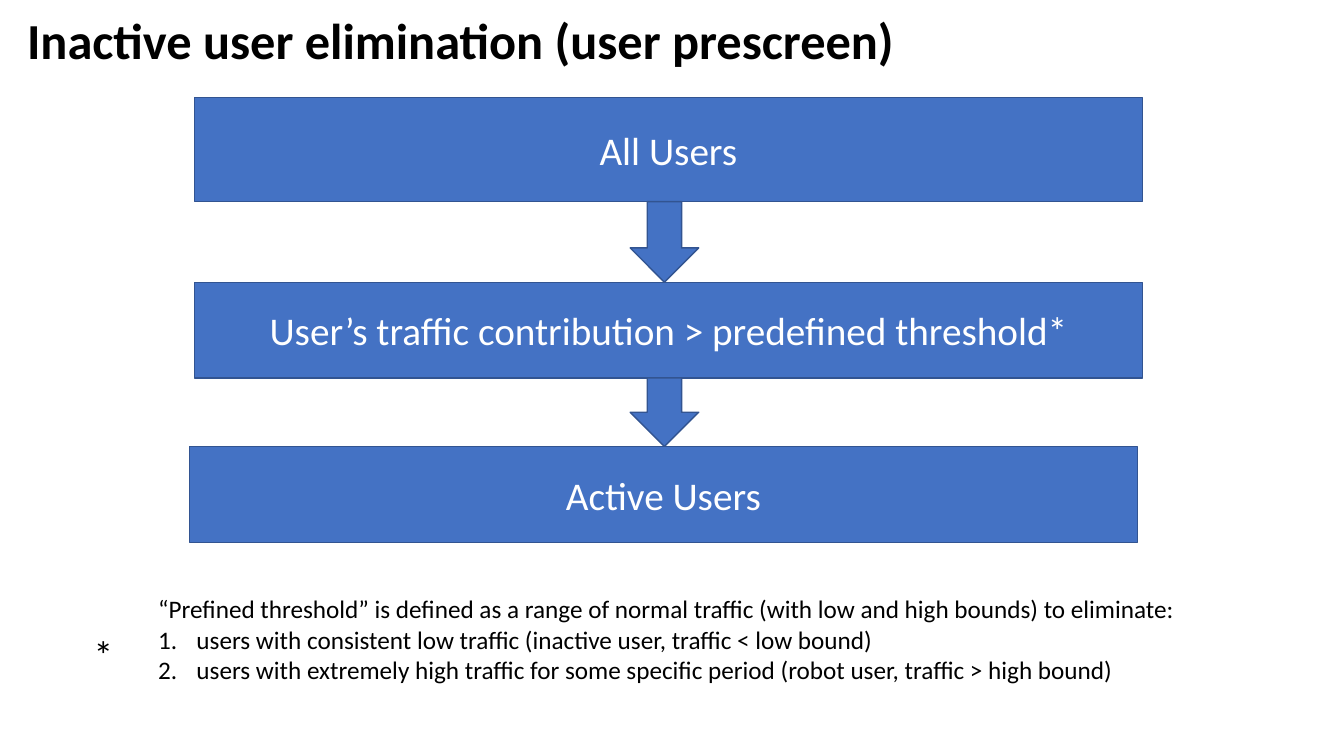
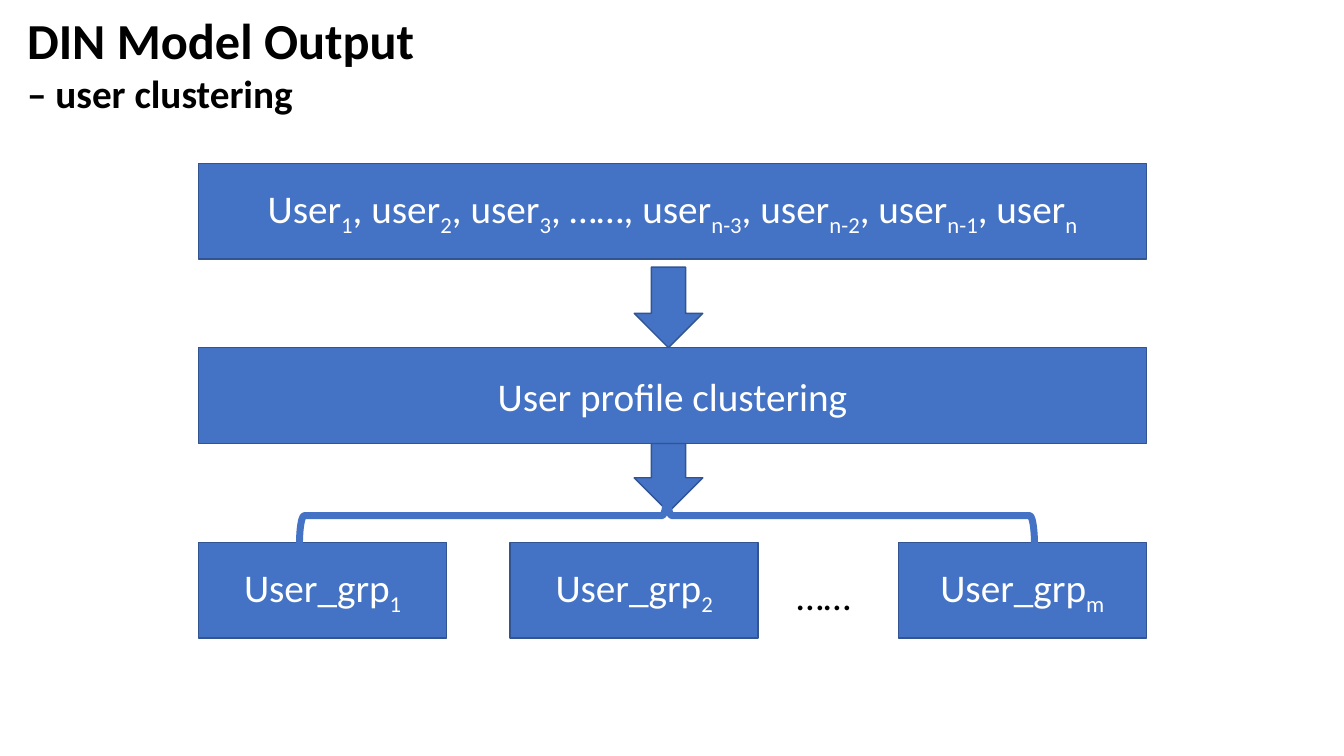
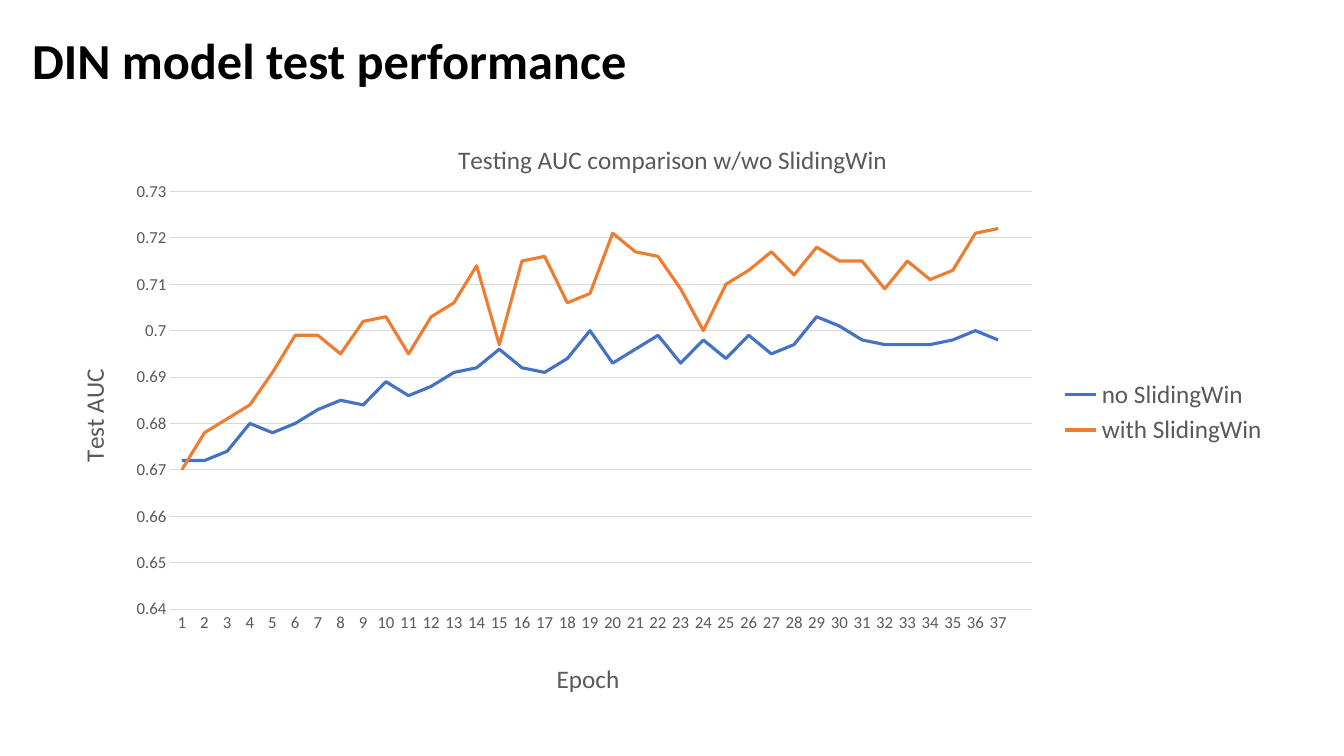
from lxml.etree import SubElement
from pptx import Presentation
from pptx.chart.data import CategoryChartData
from pptx.dml.color import RGBColor
from pptx.enum.chart import XL_CHART_TYPE, XL_LEGEND_POSITION, XL_TICK_MARK
from pptx.enum.shapes import MSO_SHAPE
from pptx.enum.text import MSO_ANCHOR, PP_ALIGN
from pptx.oxml import parse_xml
from pptx.oxml.ns import nsdecls, qn
from pptx.util import Inches, Pt

COLORS = {
    "text": "000000",
    "white": "FFFFFF",
    "blue": "4472C4",
    "edge": "325491",
    "orange": "ED7D31",
    "gray": "595959",
    "grid": "D9D9D9",
}
FONT = "Calibri"
FLOW_W = 9.4
BLOCK_H = 0.95
ARROW_W = 0.68

NO_WINDOW = [
    0.672, 0.672, 0.674, 0.680, 0.678, 0.680, 0.683, 0.685, 0.684, 0.689,
    0.686, 0.688, 0.691, 0.692, 0.696, 0.692, 0.691, 0.694, 0.700, 0.693,
    0.696, 0.699, 0.693, 0.698, 0.694, 0.699, 0.695, 0.697, 0.703, 0.701,
    0.698, 0.697, 0.697, 0.697, 0.698, 0.700, 0.698,
]
WITH_WINDOW = [
    0.670, 0.678, 0.681, 0.684, 0.691, 0.699, 0.699, 0.695, 0.702, 0.703,
    0.695, 0.703, 0.706, 0.714, 0.697, 0.715, 0.716, 0.706, 0.708, 0.721,
    0.717, 0.716, 0.709, 0.700, 0.710, 0.713, 0.717, 0.712, 0.718, 0.715,
    0.715, 0.709, 0.715, 0.711, 0.713, 0.721, 0.722,
]


def rgb(name):
    return RGBColor.from_string(COLORS[name])


def style(font, size, color="text", bold=False):
    font.name, font.size, font.bold = FONT, Pt(size), bold
    font.color.rgb = rgb(color)


def write(p, text, size=28, color="text", bold=False, align=None, numbered=False):
    p.alignment = align
    if numbered:
        pPr = p._p.get_or_add_pPr()
        pPr.set("marL", str(Inches(0.38)))
        pPr.set("indent", str(-Inches(0.38)))
        SubElement(pPr, qn("a:buFont"), typeface="+mj-lt")
        SubElement(pPr, qn("a:buAutoNum"), type="arabicPeriod")
    for i, part in enumerate(text.split("|")):
        if part:
            r = p.add_run()
            r.text = part
            style(r.font, size, color, bold)
            if i % 2:
                r.font._element.set("baseline", "-25000")


def text_box(s, x, y, w, h, lines):
    tf = s.shapes.add_textbox(Inches(x), Inches(y), Inches(w), Inches(h)).text_frame
    tf.word_wrap = True
    for i, (text, fmt) in enumerate(lines):
        write(tf.add_paragraph() if i else tf.paragraphs[0], text, **fmt)


def title(s, text, subtitle=None, x=0.17, y=0.04):
    lines = [(text, dict(size=36, bold=True))]
    if subtitle:
        lines.append((subtitle, dict(size=28, bold=True)))
    text_box(s, x, y, 11.59, 1.18 if subtitle else 0.71, lines)


def shape(s, kind, x, y, w, h, fill="blue", line="edge", width=1):
    sp = s.shapes.add_shape(kind, Inches(x), Inches(y), Inches(w), Inches(h))
    sp.shadow.inherit = False
    if fill:
        sp.fill.solid()
        sp.fill.fore_color.rgb = rgb(fill)
    else:
        sp.fill.background()
    sp.line.color.rgb = rgb(line)
    sp.line.width = Pt(width)
    return sp


def block(s, x, y, w, h, text):
    tf = shape(s, MSO_SHAPE.RECTANGLE, x, y, w, h).text_frame
    tf.word_wrap = True
    tf.vertical_anchor = MSO_ANCHOR.MIDDLE
    write(tf.paragraphs[0], text, color="white", align=PP_ALIGN.CENTER)


def flow(s, x, y, steps):
    for text, h, gap, arrow_h, shift in steps:
        block(s, x + shift, y, FLOW_W, h, text)
        y += h + gap
        if arrow_h:
            shape(s, MSO_SHAPE.DOWN_ARROW, x + 4.32, y, ARROW_W, arrow_h)
            y += arrow_h
    return y


def groups(s, x, y):
    for dx, label in ((0, "1"), (3.09, "2"), (6.94, "m")):
        block(s, x + dx, y + 0.3, 2.46, BLOCK_H, f"User_grp|{label}|")
    text_box(s, x + 5.67, y + 0.54, 1.06, 0.57,
             [("……", dict(align=PP_ALIGN.CENTER))])
    brace = shape(s, MSO_SHAPE.RIGHT_BRACE, x + 4.36, y - 3.61, 0.57, 7.29,
                  fill=None, line="blue", width=5)
    brace.rotation = 270


def footnote(s, x, y):
    text_box(s, x + 0.78, y, 10.32, 1.01, [
        ("“Prefined threshold” is defined as a range of normal traffic "
         "(with low and high bounds) to eliminate:", dict(size=18)),
        ("users with consistent low traffic (inactive user, traffic < low bound)",
         dict(size=18, numbered=True)),
        ("users with extremely high traffic for some specific period "
         "(robot user, traffic > high bound)", dict(size=18, numbered=True)),
    ])
    text_box(s, x, y + 0.36, 0.67, 0.57, [("*", dict(align=PP_ALIGN.CENTER))])


def place(element, index, inner=False, **fractions):
    for old in element.findall(qn("c:layout")):
        element.remove(old)
    target = '<c:layoutTarget val="inner"/>' if inner else ""
    modes = "".join(f'<c:{k}Mode val="edge"/>' for k in "xy")
    values = "".join(f'<c:{k} val="{v}"/>' for k, v in fractions.items())
    element.insert(index, parse_xml(
        f'<c:layout {nsdecls("c")}><c:manualLayout>{target}{modes}{values}'
        "</c:manualLayout></c:layout>"))


def chart_title(owner, text, x, y):
    owner.has_title = True
    heading = owner.chart_title if hasattr(owner, "chart_title") else owner.axis_title
    write(heading.text_frame.paragraphs[0], text, size=18, color="gray")
    place(heading._element, 1, x=x, y=y)


def auc_chart(s, x, y, w, h):
    data = CategoryChartData()
    data.categories = [str(n) for n in range(1, 38)] + [""]
    data.add_series("no SlidingWin", NO_WINDOW + [None])
    data.add_series("with SlidingWin", WITH_WINDOW + [None])
    chart = s.shapes.add_chart(XL_CHART_TYPE.LINE, Inches(x), Inches(y),
                               Inches(w), Inches(h), data).chart
    style(chart.font, 10)
    chart_title(chart, "Testing AUC comparison w/wo SlidingWin", 0.33, 0.04)
    chart.has_legend = True
    chart.legend.position = XL_LEGEND_POSITION.RIGHT
    chart.legend.include_in_layout = False
    style(chart.legend.font, 18, "gray")

    cat, val = chart.category_axis, chart.value_axis
    chart_title(cat, "Epoch", 0.41, 0.91)
    chart_title(val, "Test AUC", 0.02, 0.42)
    for axis in (cat, val):
        axis.major_tick_mark = axis.minor_tick_mark = XL_TICK_MARK.NONE
        style(axis.tick_labels.font, 12, "gray")
    val.minimum_scale, val.maximum_scale, val.major_unit = 0.64, 0.73, 0.01
    val.format.line.fill.background()
    val.has_major_gridlines = True
    for line in (cat.format.line, val.major_gridlines.format.line):
        line.color.rgb = rgb("grid")
        line.width = Pt(0.75)

    plot = chart.plots[0]
    plot.vary_by_categories = False
    for series, color in zip(plot.series, ("blue", "orange")):
        series.smooth = False
        series.format.line.color.rgb = rgb(color)
        series.format.line.width = Pt(2.25)
    place(chart._chartSpace.chart.plotArea, 0, inner=True, x=0.1, y=0.13, w=0.7, h=0.7)


def prescreen_slide(s):
    title(s, "Inactive user elimination (user prescreen)")
    flow(s, 1.93, 0.97, [
        ("All Users", 1.03, 0, 0.8, 0),
        ("User’s traffic contribution > predefined threshold*", BLOCK_H, 0, 0.68, 0),
        ("Active Users", BLOCK_H, 0, 0, -0.05),
    ])
    footnote(s, 0.69, 5.84)


def clustering_slide(s):
    title(s, "DIN Model Output", "– user clustering")
    users = "User|1|, user|2|, user|3|, ……, user|n-3|, user|n-2|, user|n-1|, user|n|"
    bottom = flow(s, 1.97, 1.62, [
        (users, BLOCK_H, 0.08, 0.8, 0),
        ("User profile clustering", BLOCK_H, 0, 0.68, 0),
    ])
    groups(s, 1.97, bottom)


def performance_slide(s):
    title(s, "DIN model test performance", x=0.22, y=0.24)
    auc_chart(s, 0.47, 1.13, 12.21, 5.92)


def main():
    prs = Presentation()
    prs.slide_width, prs.slide_height = Inches(13.33), Inches(7.5)
    for build in (prescreen_slide, clustering_slide, performance_slide):
        build(prs.slides.add_slide(prs.slide_layouts[6]))
    prs.save("out.pptx")


if __name__ == "__main__":
    main()
